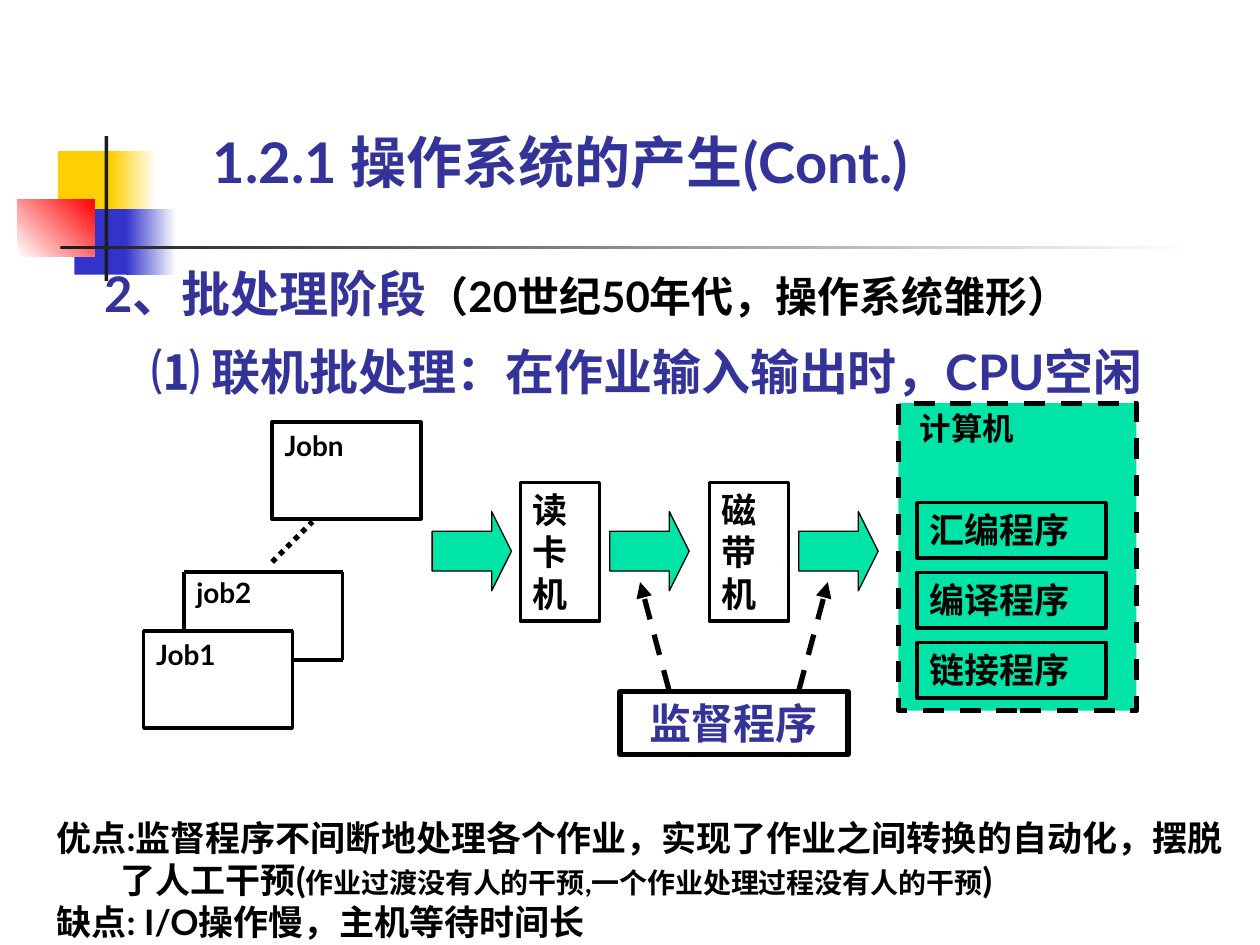
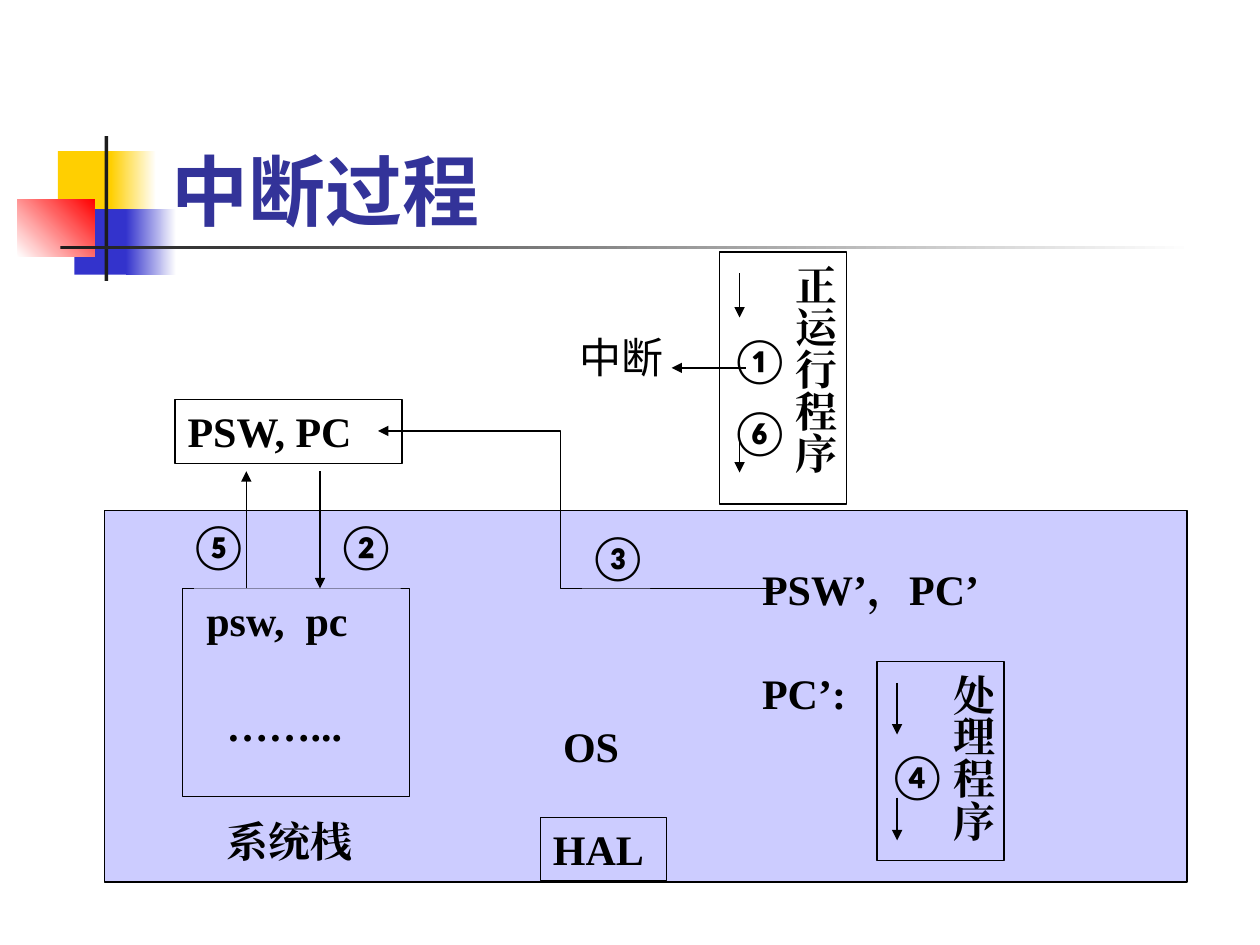
from dataclasses import dataclass
from typing import Optional, Union

from lxml.etree import SubElement
from pptx import Presentation
from pptx.dml.color import RGBColor as Rgb
from pptx.enum.dml import MSO_LINE as Dash
from pptx.enum.shapes import MSO_CONNECTOR as Link, MSO_SHAPE as Form
from pptx.enum.text import MSO_ANCHOR as Anchor, PP_ALIGN as Align
from pptx.oxml.ns import qn
from pptx.util import Inches, Pt

WIDE, HIGH = Inches(10), Inches(7.5)
COLS, ROWS = 100, 75
CELL_X, CELL_Y = WIDE / COLS, HIGH / ROWS

HUES = {
    "ink": "000000", "navy": "333399", "paper": "FFFFFF", "mint": "00E4A8",
    "lilac": "CCCCFF", "gold": "FFCF01", "blue": "3333CC", "red": "FF0000",
    "coal": "1C1C1C",
}
SANS, SERIF = "Lato", "Times New Roman"
Spot = tuple[float, float]
Area = tuple[float, float, float, float]


@dataclass
class Span:
    text: str
    size: Optional[float] = None
    hue: Optional[str] = None


@dataclass
class Para:
    spans: list[Span]
    lead: Optional[float] = None
    gap: float = 0
    left: float = 0
    tabs: tuple[float, ...] = ()
    font: Optional[str] = None


@dataclass
class Box:
    """A preset shape or, with form None, a text box; at is in grid cells."""
    at: Area
    text: Union[str, list[Para]] = ""
    size: float = 24
    font: str = SANS
    hue: str = "ink"
    bold: bool = True
    fill: Optional[str] = None
    fade: Optional[str] = None
    turn: float = 0
    edge: float = 0
    dash: Optional[Dash] = None
    form: Optional[Form] = Form.RECTANGLE
    pad: Spot = (1, 0.5)
    align: Align = Align.LEFT
    anchor: Anchor = Anchor.TOP
    upright: bool = False


@dataclass
class Wire:
    """A line through grid points; more than two points make a bent one."""
    points: list[Spot]
    width: float = 0.75
    dash: Optional[Dash] = None
    arrow: bool = True


def tint(name: str) -> Rgb:
    return Rgb.from_string(HUES[name])


def col(count: float) -> int:
    return round(count * CELL_X)


def row(count: float) -> int:
    return round(count * CELL_Y)


def stroke(line, width: float, dash: Optional[Dash]) -> None:
    line.color.rgb = tint("ink")
    line.width = Pt(width)
    if dash is not None:
        line.dash_style = dash


def write(para, item: Para, box: Box) -> None:
    props = para._p.get_or_add_pPr()
    if item.left:
        props.set("marL", str(col(item.left)))
        props.set("indent", "0")
    if item.tabs:
        stops = SubElement(props, qn("a:tabLst"))
        for stop in item.tabs:
            SubElement(stops, qn("a:tab"), pos=str(row(stop)), algn="l")
    para.alignment = box.align
    para.space_before = Pt(item.gap)
    if item.lead:
        para.line_spacing = item.lead
    font = para.font
    font.name, font.size, font.bold = item.font or box.font, Pt(box.size), box.bold
    font.color.rgb = tint(box.hue)
    SubElement(font._element, qn("a:ea"), typeface=font.name)
    for span in item.spans:
        run = para.add_run()
        run.text = span.text
        if span.size:
            run.font.size = Pt(span.size)
        if span.hue:
            run.font.color.rgb = tint(span.hue)


def paint(shape, box: Box) -> None:
    if box.fade:
        shape.fill.gradient()
        shape.fill.gradient_angle = box.turn
        for stop, name in zip(shape.fill.gradient_stops, (box.fill, box.fade)):
            stop.color.rgb = tint(name)
    elif box.fill:
        shape.fill.solid()
        shape.fill.fore_color.rgb = tint(box.fill)
    else:
        shape.fill.background()
    if box.edge:
        stroke(shape.line, box.edge, box.dash)
    else:
        shape.line.fill.background()


def draw_box(slide, box: Box) -> None:
    x, y, w, h = box.at
    place = col(x), row(y), col(w), row(h)
    if box.form is None:
        shape = slide.shapes.add_textbox(*place)
    else:
        shape = slide.shapes.add_shape(box.form, *place)
        shape.shadow.inherit = False
        if box.form == Form.RIGHT_ARROW:
            shape.adjustments[0], shape.adjustments[1] = 0.5, 0.25
    paint(shape, box)
    if not box.text:
        return
    frame = shape.text_frame
    frame.word_wrap = True
    frame.vertical_anchor = box.anchor
    frame.margin_left = frame.margin_right = col(box.pad[0])
    frame.margin_top = frame.margin_bottom = row(box.pad[1])
    if box.upright:
        frame._txBody.bodyPr.set("vert", "eaVert")
    items = [Para([Span(box.text)])] if isinstance(box.text, str) else box.text
    for spot, item in enumerate(items):
        para = frame.add_paragraph() if spot else frame.paragraphs[0]
        write(para, item, box)


def draw_wire(slide, wire: Wire) -> None:
    points = [(col(x), row(y)) for x, y in wire.points]
    if len(points) == 2:
        shape = slide.shapes.add_connector(Link.STRAIGHT, *points[0], *points[1])
        SubElement(shape._element.spPr, qn("a:effectLst"))
    else:
        path = slide.shapes.build_freeform(*points[0])
        path.add_line_segments(points[1:], close=False)
        shape = path.convert_to_shape()
        shape.shadow.inherit = False
        shape.fill.background()
    stroke(shape.line, wire.width, wire.dash)
    if wire.arrow:
        SubElement(shape.line._get_or_add_ln(), qn("a:tailEnd"), type="triangle")


def draw(slide, parts: list[Union[Box, Wire]]) -> None:
    for part in parts:
        (draw_box if isinstance(part, Box) else draw_wire)(slide, part)


def title(text: str, at: Area, size: float, **more) -> Box:
    return Box(at, text, size, hue="navy", form=None, **more)


def label(text: str, at: Area, **more) -> Box:
    return Box(at, text, **{"font": SERIF, "fill": "lilac", **more})


def program(name: str, marks: str, tabs: tuple[float, ...], at: Area, fill: str) -> Box:
    """A vertical box with a name column and a column of step marks."""
    text = [Para([Span(name)]),
            Para([Span(marks)], lead=0.5, gap=15, tabs=tabs, font=SANS)]
    return label(text, at, fill=fill, edge=0.75, pad=(0.5, 1), upright=True)


BADGE = [
    Box((4.6, 12, 4.8, 5.2), fill="gold"),
    Box((8.8, 12, 3.6, 5.2), fill="gold", fade="paper"),
    Box((5.9, 16.6, 4.6, 5.2), fill="blue"),
    Box((10, 16.6, 4, 5.2), fill="blue", fade="paper"),
    Box((1.4, 15.8, 6.1, 4.6), fill="paper", fade="red", turn=45),
    Box((8.3, 10.8, 0.3, 11.5), fill="coal"),
    Box((4.8, 19.5, 90, 0.3), fill="coal", fade="paper"),
]


def batch() -> list[Union[Box, Wire]]:
    heads = [
        Para([Span("2、批处理阶段"),
              Span("（20世纪50年代，操作系统雏形）", 24, "ink")], lead=0.8),
        Para([Span("⑴ 联机批处理：在作业输入输出时，CPU空闲")],
             lead=0.8, gap=17.5, left=3.7),
    ]
    notes = [
        Para([Span("优点:监督程序不间断地处理各个作业，实现了作业之间转换的自动化，摆脱")]),
        Para([Span("了人工干预("),
              Span("作业过渡没有人的干预,一个作业处理过程没有人的干预", 16),
              Span(")")], left=5.1),
        Para([Span("缺点: I/O操作慢，主机等待时间长")]),
    ]
    edges = [(14.6, 50.1), (14.6, 45.4), (27.2, 45.4), (27.2, 52.4), (23.2, 52.4)]
    card = (11.8, 7.7)
    return [
        title("1.2.1 操作系统的产生(Cont.)", (16.9, 10.1, 63.8, 5.3), 32, pad=(0, 0)),
        Box((8.3, 21.8, 91.7, 9.9), heads, 28, hue="navy", form=None, pad=(0, 0)),
        Box((11.4, 50.1, *card), "Job1", 16, edge=2),
        *(Wire([a, b], 2, arrow=False) for a, b in zip(edges, edges[1:])),
        Box((14.6, 45.2, 7.9, 3.7), "job2", 16, form=None),
        Box((21.6, 33.5, *card), "Jobn", 16, edge=2),
        Wire([(21.6, 44.6), (24.8, 41.4)], 3, Dash.ROUND_DOT, False),
        *(Box((x, 40.6, 6.3, 6.3), fill="mint", edge=0.75, form=Form.RIGHT_ARROW)
          for x in (34.3, 48.4, 63.4)),
        *(Box((x, 38.3, 6.3, 11), name, 20, edge=2)
          for x, name in ((41.3, "读卡机"), (56.3, "磁带机"))),
        Box((71.3, 32, 18.9, 24.4), fill="mint", edge=3, dash=Dash.DASH),
        Box((72, 32, 11, 4), "计算机", 18, form=None),
        *(Box((72.8, 39.9 + 5.55 * i, 15, 4.4), name, 20, edge=2)
          for i, name in enumerate(("汇编程序", "编译程序", "链接程序"))),
        Box((49.2, 54.9, 18.1, 5), "监督程序", hue="navy", edge=3, align=Align.CENTER),
        *(Wire([(a, 54.8), (b, 46.2)], 3, Dash.DASH)
          for a, b in ((63.4, 65.7), (53.1, 50.8))),
        Box((3.5, 64.3, 96.5, 11), notes, 20, form=None),
    ]


def breaks() -> list[Union[Box, Wire]]:
    return [
        title("中断过程", (12.6, 6.7, 85.2, 12.5), 44, anchor=Anchor.BOTTOM),
        Box((8.3, 40.5, 85.9, 29.5), fill="lilac", edge=0.75),
        program("正运行程序", "\t①\t⑥", (5.8, 11.5), (57.1, 20, 10.1, 20), "paper"),
        program("处理程序", "\t④", (6.3,), (69.6, 52.5, 10.1, 15.8), "lilac"),
        *(Wire([(x, top), (x, end)]) for x, top, end in (
            (58.7, 21.7, 25.2), (58.7, 34, 37.5),
            (71.2, 54.2, 58.3), (71.2, 63.3, 66.7))),
        label("PSW’，PC’", (59.5, 44.2, 20.9, 5)),
        label("PC’:", (59.5, 52.5, 9.1, 5)),
        label("PSW, PC", (13.9, 31.7, 18, 5.1), fill="paper", edge=0.75),
        Box((14.5, 46.7, 18, 16.5), fill="lilac", edge=0.75),
        label("系统桟", (17, 64.2, 13.6, 5)),
        label("psw,  pc", (15.4, 46.7, 16.4, 5)),
        label("……...", (17, 55, 12.7, 5)),
        Wire([(25.4, 37.4), (25.4, 46.7)]),
        label("②", (26.2, 40.8, 4.8, 5), font=SANS),
        Wire([(19.55, 46.7), (19.55, 37.4)]),
        label("⑤", (14.5, 40.8, 4.5, 5), font=SANS),
        Wire([(61.8, 46.7), (44.5, 46.7), (44.5, 34.2), (30, 34.2)]),
        label("③", (46.2, 41.7, 5.4, 5), font=SANS),
        label("HAL", (42.9, 64.9, 10, 5), edge=0.75),
        label("OS", (43.7, 56.7, 9.1, 5)),
        Wire([(59.2, 29.2), (53.3, 29.2)]),
        Box((45, 25.8, 9.2, 5), "中断", bold=False, form=None),
    ]


def main() -> None:
    deck = Presentation()
    deck.slide_width, deck.slide_height = WIDE, HIGH
    for parts in (batch(), breaks()):
        slide = deck.slides.add_slide(deck.slide_layouts[6])
        draw(slide, BADGE + parts)
    deck.save("out.pptx")


if __name__ == "__main__":
    main()
